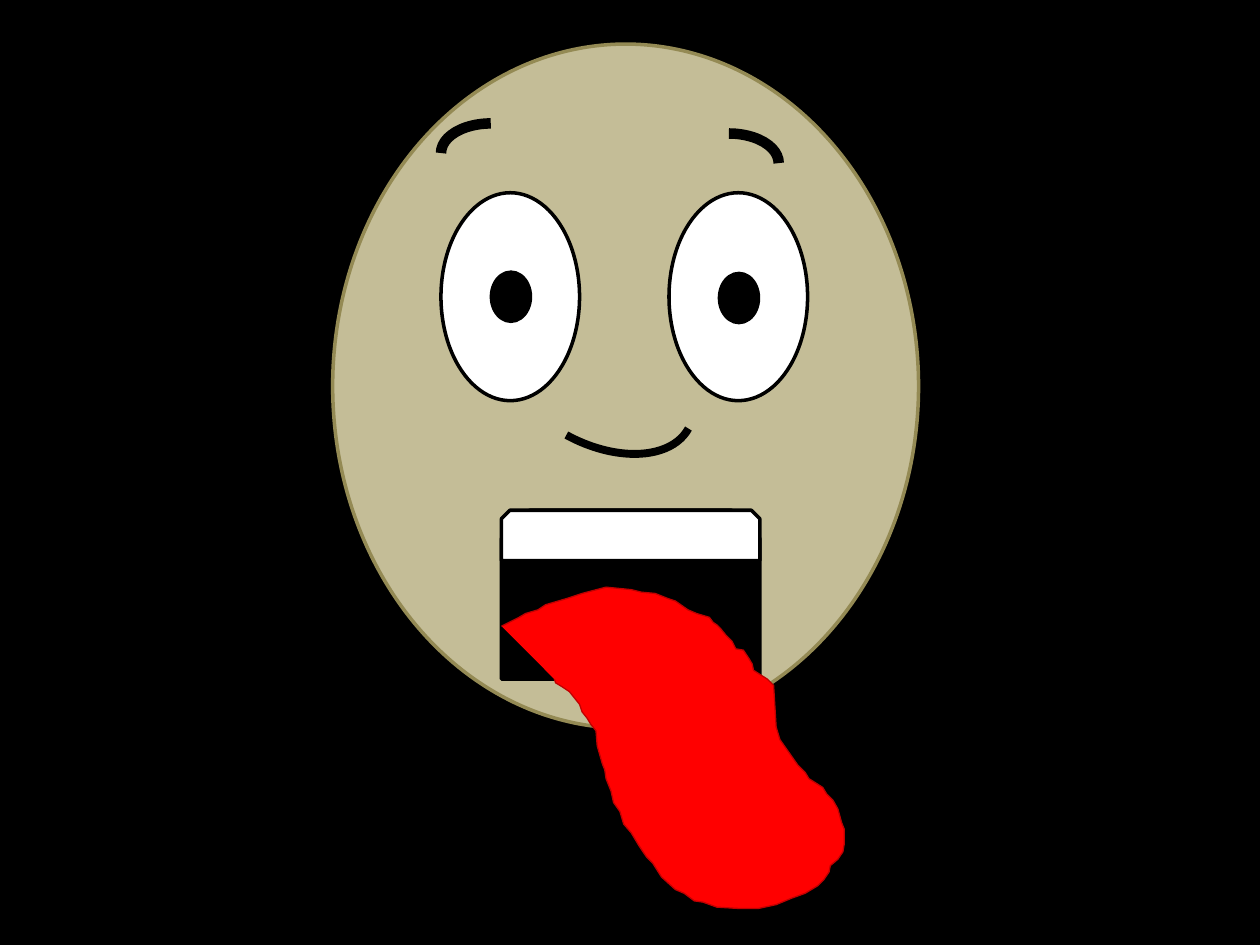
from pptx import Presentation
from pptx.dml.color import RGBColor
from pptx.enum.shapes import MSO_SHAPE
from pptx.util import Inches, Pt

BLACK = RGBColor(0x00, 0x00, 0x00)
WHITE = RGBColor(0xFF, 0xFF, 0xFF)
SKIN = RGBColor(0xC4, 0xBD, 0x97)
EDGE = RGBColor(0x94, 0x8A, 0x54)
RED = RGBColor(0xFF, 0x00, 0x00)
DARK = RGBColor(0xC0, 0x00, 0x00)

OVAL = MSO_SHAPE.OVAL
SNIP = MSO_SHAPE.SNIP_2_SAME_RECTANGLE

# Kind, box (left, top, width, height), fill, line
BACK = [
    (OVAL, (2.64, 0.35, 4.65, 5.43), SKIN, EDGE),     # head
    (OVAL, (5.31, 1.53, 1.1, 1.65), WHITE, BLACK),    # eyes
    (OVAL, (3.5, 1.53, 1.1, 1.65), WHITE, BLACK),
    (OVAL, (5.71, 2.17, 0.31, 0.39), BLACK, BLACK),   # pupils
    (OVAL, (3.9, 2.16, 0.31, 0.39), BLACK, BLACK),
    (SNIP, (3.98, 4.05, 2.05, 1.34), BLACK, BLACK),   # mouth
]
TEETH = (SNIP, (3.98, 4.05, 2.05, 0.4), WHITE, BLACK)

# Box, line width, mirrored, rotation
ARCS = [
    ((5.39, 1.06, 0.79, 0.47), 6, False, 0),          # brows
    ((3.5, 0.98, 0.79, 0.47), 6, True, 0),
    ((4.23, 2.18, 1.02, 1.65), 4.5, False, 118.7),    # nose
]

# Tongue outline, in hundredths of an inch
TONGUE = [
    (398, 497), (412, 490), (417, 487), (427, 484), (433, 480), (450, 475),
    (462, 471), (481, 466), (501, 468), (509, 470), (520, 471), (530, 475),
    (536, 477), (546, 484), (553, 487), (563, 490), (566, 494), (569, 496),
    (572, 499), (576, 504), (581, 509), (584, 515), (590, 516), (594, 522),
    (597, 527), (598, 532), (609, 539), (614, 544), (615, 560), (616, 577),
    (619, 587), (626, 597), (633, 607), (639, 613), (642, 618), (653, 625),
    (656, 630), (661, 635), (665, 642), (668, 653), (670, 658), (670, 670),
    (669, 676), (665, 682), (659, 687), (658, 692), (654, 698), (649, 703),
    (639, 709), (628, 713), (616, 718), (602, 721), (586, 721), (569, 720),
    (558, 716), (551, 715), (543, 709), (536, 706), (525, 696), (518, 685),
    (513, 680), (507, 671), (501, 661), (495, 654), (492, 644), (487, 637),
    (485, 628), (481, 618), (480, 611), (478, 606), (474, 592), (473, 580),
    (469, 575), (466, 570), (462, 565), (460, 559), (452, 549), (446, 545),
    (441, 542), (440, 539),
]


def trim(part, color, width):
    part.shadow.inherit = False
    part.line.color.rgb = color
    part.line.width = Pt(width)


def paint(part, fill, color, width):
    part.fill.solid()
    part.fill.fore_color.rgb = fill
    trim(part, color, width)


def place(shapes, kind, box):
    return shapes.add_shape(kind, *(Inches(n) for n in box))


def main():
    deck = Presentation()
    deck.slide_width, deck.slide_height = Inches(10), Inches(7.5)
    slide = deck.slides.add_slide(deck.slide_layouts[6])
    slide.background.fill.solid()
    slide.background.fill.fore_color.rgb = BLACK
    shapes = slide.shapes

    # Head, eyes and mouth
    for kind, box, fill, color in BACK:
        paint(place(shapes, kind, box), fill, color, 2)

    # Tongue over the mouth, teeth over the tongue
    pen = shapes.build_freeform(*TONGUE[0], scale=Inches(0.01))
    pen.add_line_segments(TONGUE[1:], close=False)
    paint(pen.convert_to_shape(), RED, DARK, 0.75)
    kind, box, fill, color = TEETH
    paint(place(shapes, kind, box), fill, color, 2)

    # Brows and nose
    for box, width, flip, turn in ARCS:
        arc = place(shapes, MSO_SHAPE.ARC, box)
        arc.fill.background()
        trim(arc, BLACK, width)
        arc.rotation = turn
        if flip:
            arc.element.spPr.get_or_add_xfrm().set("flipH", "1")

    deck.save("out.pptx")


if __name__ == "__main__":
    main()
